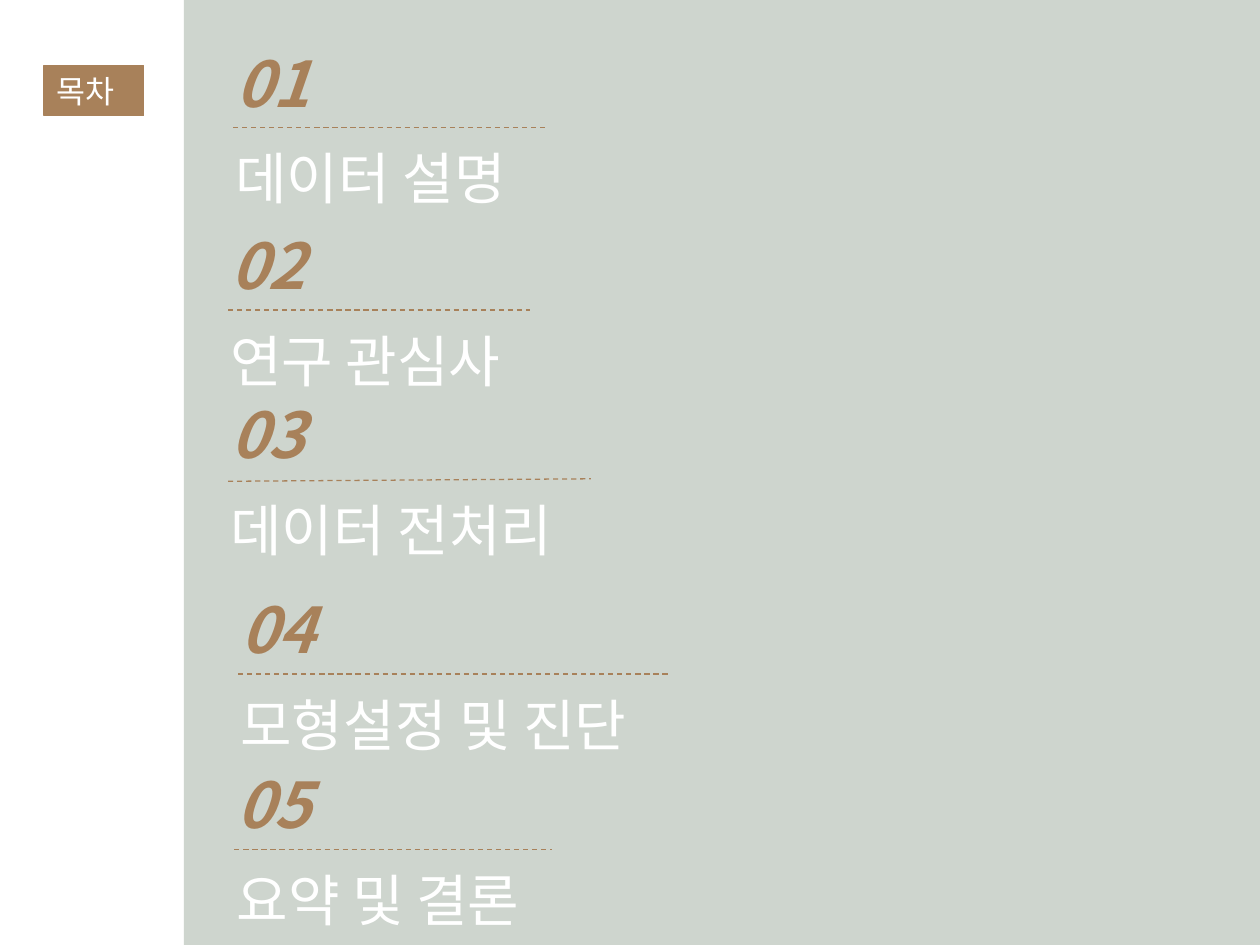
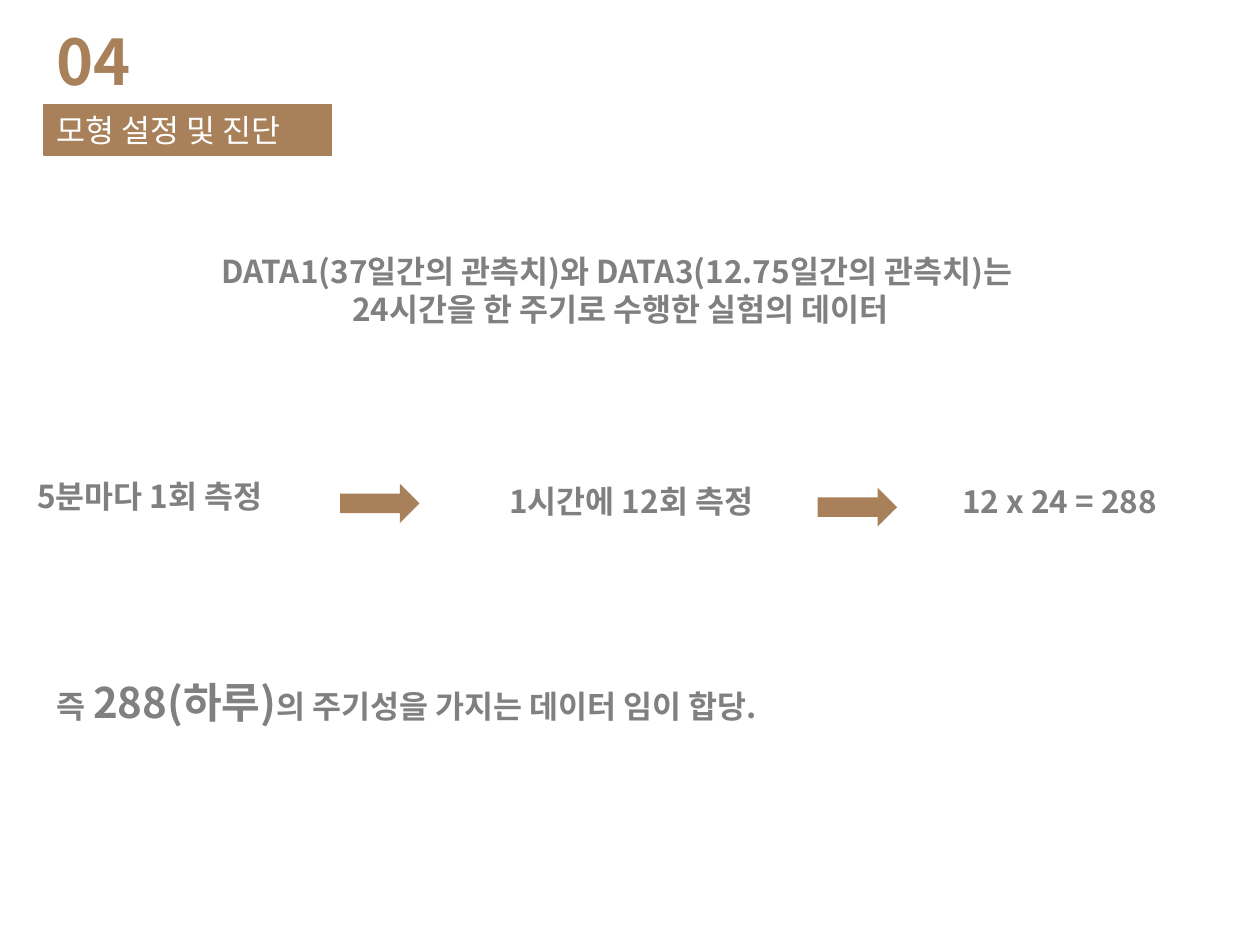
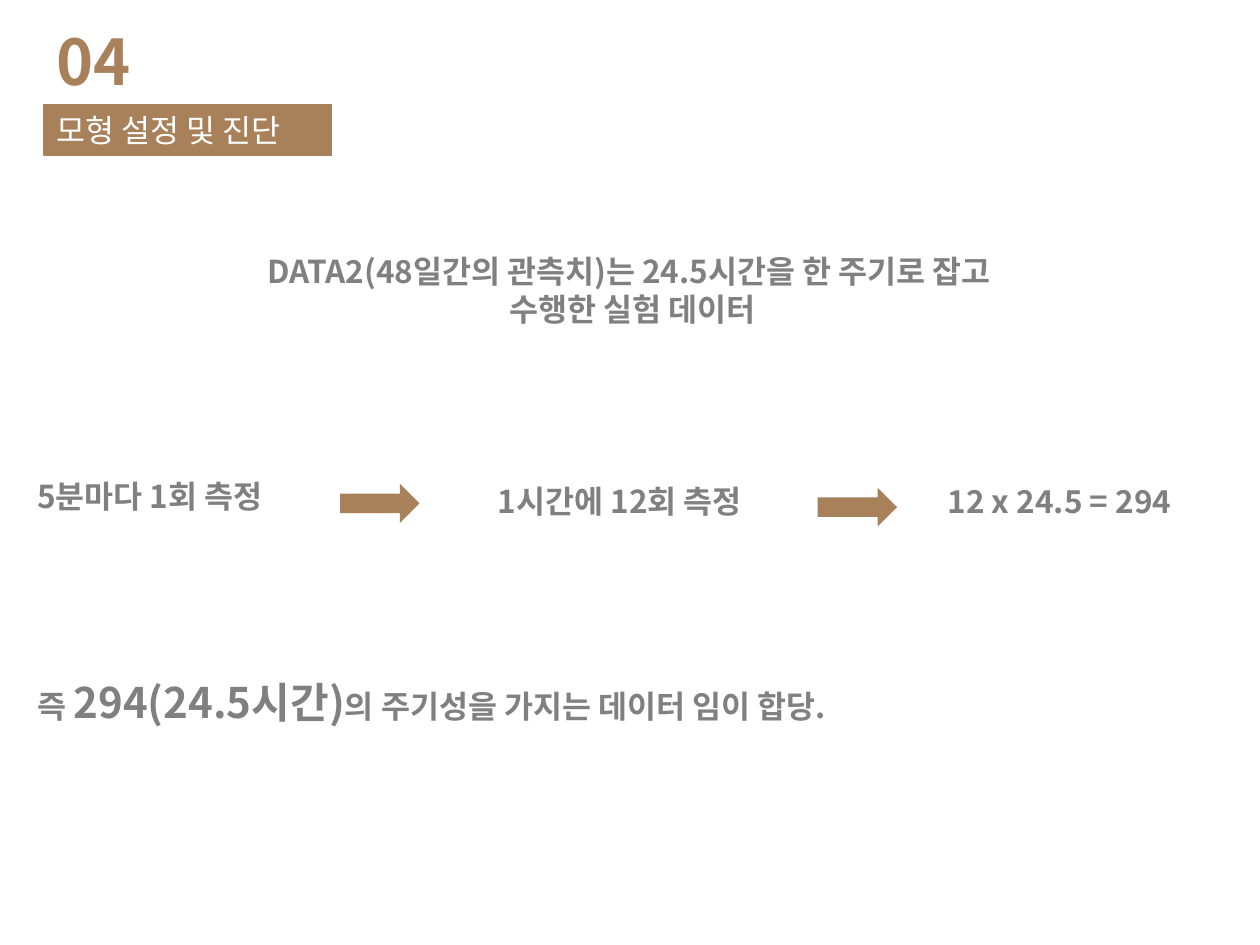
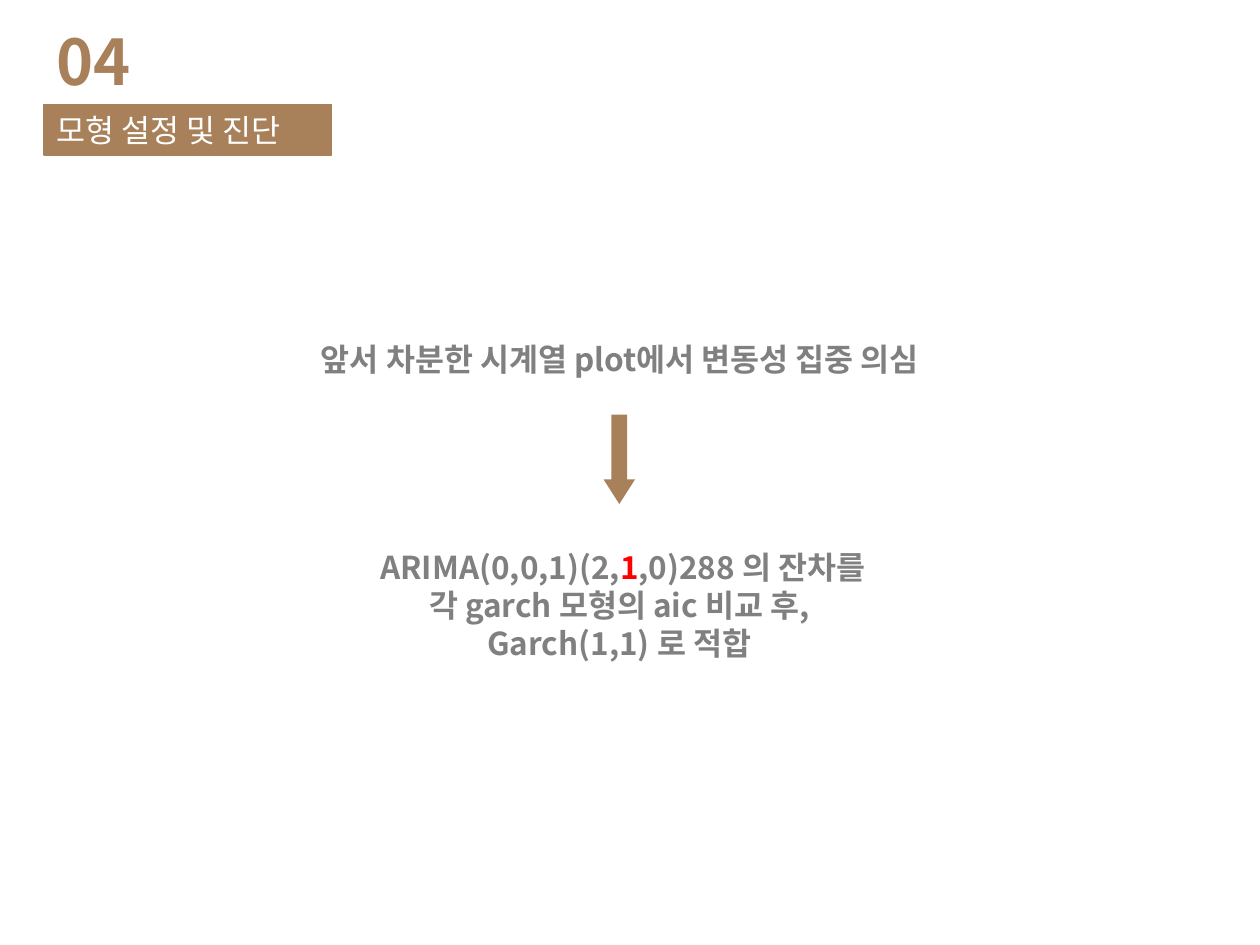
import dataclasses

import lxml.etree
import pptx
import pptx.dml.color
import pptx.enum.dml
import pptx.enum.shapes
import pptx.enum.text
import pptx.oxml.ns
import pptx.util

PX = 9144
FACE = "Noto Sans CJK KR"
HEX = {"sage": "CED5CE", "brown": "A8815A", "gray": "808080", "white": "FFFFFF", "red": "FF0000"}
STYLES = {
    "tag": ("white", {"size": 18, "bold": False, "italic": False}),
    "label": ("white", {"size": 32, "bold": False, "italic": False}),
    "count": ("brown", {"size": 36, "bold": True, "italic": True}),
    "head": ("brown", {"size": 36, "bold": True, "italic": False}),
    "body": ("gray", {"size": 18, "bold": True, "italic": False}),
    "large": ("gray", {"size": 24, "bold": True, "italic": False}),
    "alert": ("red", {"size": 18, "bold": True, "italic": False}),
}
ALIGN = pptx.enum.text.PP_ALIGN
SHAPE = pptx.enum.shapes.MSO_SHAPE


@dataclasses.dataclass(frozen=True)
class Box:
    left: int
    top: int
    width: int
    height: int

    def emu(self) -> tuple[int, ...]:
        return tuple(n * PX for n in dataclasses.astuple(self))


@dataclasses.dataclass(frozen=True)
class Run:
    text: str
    style: str = "body"


@dataclasses.dataclass(frozen=True)
class Entry:
    name: str
    left: int
    top: int
    width: int
    rule: int
    tilt: int = 0


@dataclasses.dataclass(frozen=True)
class Cycle:
    claim: tuple[str, str]
    span: int
    hour: int
    total: str
    period: str
    left: int
    width: int


ENTRIES = (
    Entry("데이터 설명", 177, 30, 260, 248),
    Entry("연구 관심사", 173, 175, 260, 240),
    Entry("데이터 전처리", 173, 309, 311, 288, 2),
    Entry("모형설정 및 진단", 181, 464, 382, 342),
    Entry("요약 및 결론", 178, 603, 338, 252),
)
CYCLES = (
    Cycle(("DATA1(37일간의 관측치)와 DATA3(12.75일간의 관측치)는 ",
           "24시간을 한 주기로 수행한 실험의 데이터"),
          977, 254, "12 x 24 = 288", "288(하루)", -6, 658),
    Cycle(("DATA2(48일간의 관측치)는 24.5시간을 한 주기로 잡고 ", "수행한 실험 데이터"),
          996, 236, "12 x 24.5 = 294", "294(24.5시간)", -12, 709),
)


def tint(name: str) -> pptx.dml.color.RGBColor:
    return pptx.dml.color.RGBColor.from_string(HEX[name])


def write(frame, lines, align) -> None:
    frame.word_wrap = True
    frame.auto_size = pptx.enum.text.MSO_AUTO_SIZE.SHAPE_TO_FIT_TEXT
    for i, line in enumerate(lines):
        para = frame.add_paragraph() if i else frame.paragraphs[0]
        para.alignment = align
        for part in line:
            run = para.add_run()
            run.text = part.text
            color, form = STYLES[part.style]
            form = form | {"name": FACE, "size": pptx.util.Pt(form["size"])}
            for key, value in form.items():
                setattr(run.font, key, value)
            run.font.color.rgb = tint(color)
            east = lxml.etree.SubElement(run.font._element, pptx.oxml.ns.qn("a:ea"))
            east.set("typeface", FACE)


def add_text(slide, box: Box, *lines: tuple[Run, ...], align=ALIGN.CENTER) -> None:
    write(slide.shapes.add_textbox(*box.emu()).text_frame, lines, align)


def add_fill(slide, kind, box: Box, color: str):
    shape = slide.shapes.add_shape(kind, *box.emu())
    shape.shadow.inherit = False
    shape.fill.solid()
    shape.fill.fore_color.rgb = tint(color)
    shape.line.fill.background()
    return shape


def add_tag(slide, box: Box, text: str) -> None:
    shape = add_fill(slide, SHAPE.RECTANGLE, box, "brown")
    shape.line.color.rgb = tint("brown")
    shape.line.width = pptx.util.Pt(0.75)
    shape.text_frame.vertical_anchor = pptx.enum.text.MSO_ANCHOR.MIDDLE
    write(shape.text_frame, [(Run(text, "tag"),)], ALIGN.JUSTIFY)


def add_rule(slide, left: int, top: int, width: int, tilt: int) -> None:
    ends = (left, top + tilt, left + width, top)
    rule = slide.shapes.add_connector(
        pptx.enum.shapes.MSO_CONNECTOR.STRAIGHT, *(n * PX for n in ends))
    rule.line.color.rgb = tint("brown")
    rule.line.width = pptx.util.Pt(0.75)
    rule.line.dash_style = pptx.enum.dml.MSO_LINE.DASH
    lxml.etree.SubElement(rule._element.spPr, pptx.oxml.ns.qn("a:effectLst"))


def add_blank(deck):
    return deck.slides.add_slide(deck.slide_layouts[6])


def add_page(deck):
    slide = add_blank(deck)
    add_tag(slide, Box(35, 83, 228, 40), "모형 설정 및 진단")
    add_text(slide, Box(35, 13, 126, 71), (Run("04", "head"),), align=ALIGN.LEFT)
    return slide


def add_index(deck) -> None:
    slide = add_blank(deck)
    add_fill(slide, SHAPE.RECTANGLE, Box(146, 0, 854, 750), "sage")
    add_tag(slide, Box(35, 52, 79, 40), "목차")
    for i, item in enumerate(ENTRIES, 1):
        add_text(slide, Box(item.left, item.top, 126, 71),
                 (Run(f"{i:02}", "count"),), align=ALIGN.LEFT)
        add_rule(slide, item.left + 8, item.top + 71, item.rule, item.tilt)
        add_text(slide, Box(item.left, item.top + 79, item.width, 64),
                 (Run(item.name, "label"),), align=ALIGN.LEFT)


def add_cycle(deck, item: Cycle) -> None:
    slide = add_page(deck)
    add_text(slide, Box(4, 195, item.span, 71), *((Run(line),) for line in item.claim))
    add_text(slide, Box(6, 374, 226, 71), (Run("5분마다 1회 측정"),))
    add_text(slide, Box(374, 378, item.hour, 40), (Run("1시간에 12회 측정"),))
    add_text(slide, Box(728, 378, 226, 40), (Run(item.total),))
    for left, top in ((286, 368), (665, 371)):
        add_fill(slide, SHAPE.DOWN_ARROW, Box(left, top, 31, 63), "brown").rotation = 270
    add_text(slide, Box(item.left, 532, item.width, 50),
             (Run("즉 "), Run(item.period, "large"),
              Run("의 주기성을 가지는 데이터 임이 합당.")))


def add_model(deck) -> None:
    slide = add_page(deck)
    arrow = add_fill(slide, SHAPE.DOWN_ARROW, Box(479, 329, 25, 71), "brown")
    arrow.adjustments[1] = 0.78
    add_text(slide, Box(130, 265, 724, 40),
             (Run("앞서 차분한 시계열 plot에서 변동성 집중 의심"),))
    add_text(slide, Box(216, 430, 551, 103),
             (Run(" ARIMA(0,0,1)(2,"), Run("1", "alert"), Run(",0)288 의 잔차를")),
             (Run("각 garch 모형의 aic 비교 후,"),),
             (Run("Garch(1,1) 로 적합"),))


def main() -> None:
    deck = pptx.Presentation()
    deck.slide_width, deck.slide_height = 1000 * PX, 750 * PX
    add_index(deck)
    for item in CYCLES:
        add_cycle(deck, item)
    add_model(deck)
    deck.save("out.pptx")


if __name__ == "__main__":
    main()
